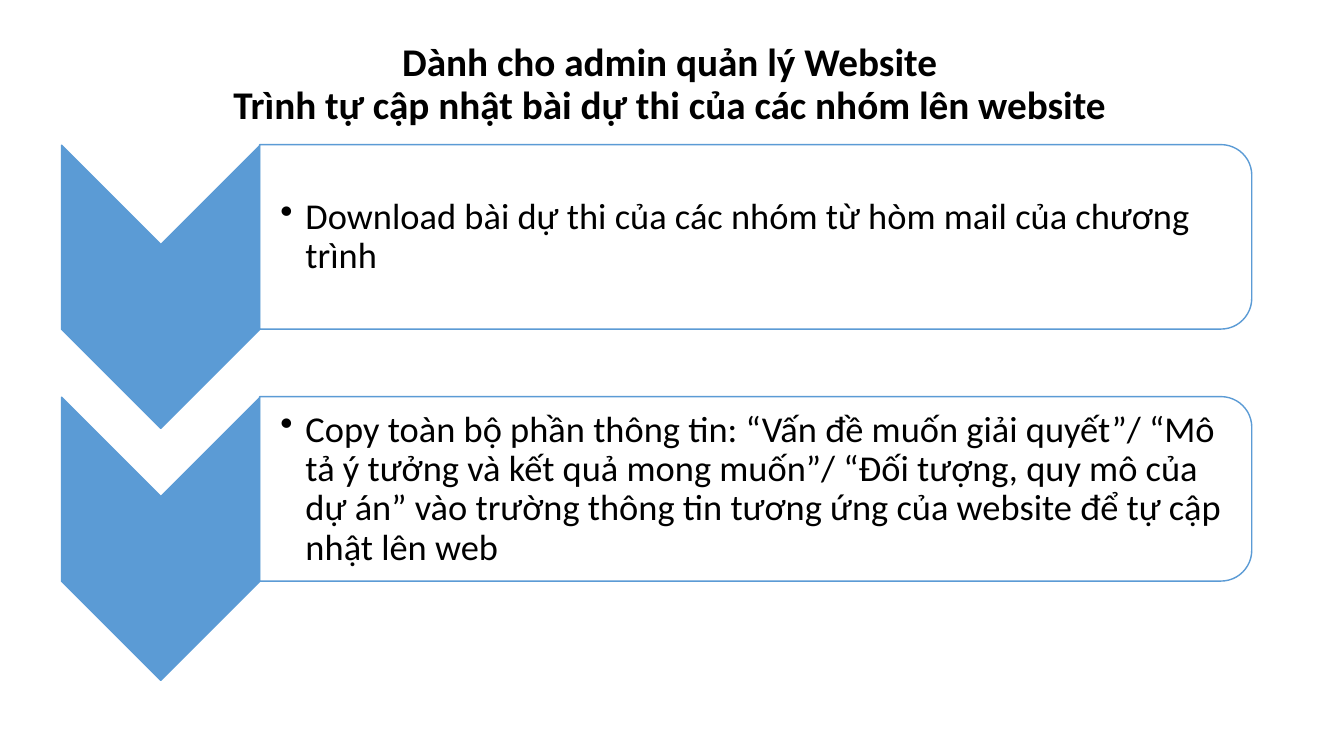
import pptx
import pptx.util
import pptx.dml.color
import pptx.enum.shapes
import pptx.enum.text
import pptx.oxml.ns
import lxml.etree

Inches = pptx.util.Inches
Pt = pptx.util.Pt
RGBColor = pptx.dml.color.RGBColor
Kind = pptx.enum.shapes.MSO_SHAPE
Align = pptx.enum.text.PP_ALIGN
Anchor = pptx.enum.text.MSO_ANCHOR
qn = pptx.oxml.ns.qn

BLUE = RGBColor(0x5B, 0x9B, 0xD5)
WHITE = RGBColor(0xFF, 0xFF, 0xFF)
BLACK = RGBColor(0, 0, 0)

TITLE = "Dành cho admin quản lý Website\vTrình tự cập nhật bài dự thi của các nhóm lên website"
STEPS = [
    "Download bài dự thi của các nhóm từ hòm mail của chương trình",
    "Copy toàn bộ phần thông tin: “Vấn đề muốn giải quyết”/ “Mô tả ý tưởng và kết quả "
    "mong muốn”/ “Đối tượng, quy mô của dự án” vào trường thông tin tương ứng của "
    "website để tự cập nhật lên web",
]
PITCH = 2.5

FONT = {"name": "Calibri", "size": Pt(28), "bold": True}
BODY = {**FONT, "size": Pt(26), "bold": False}
FRAME = {"word_wrap": True, "vertical_anchor": Anchor.MIDDLE}
INSET = {
    **FRAME,
    "margin_left": Inches(0.2),
    "margin_top": Inches(0.02),
    "margin_right": Inches(0.02),
    "margin_bottom": Inches(0.02),
}


def apply(item, values):
    for name, value in values.items():
        setattr(item, name, value)


def add_text(slide, box, text, frame, font, align):
    body = slide.shapes.add_textbox(*map(Inches, box)).text_frame
    apply(body, frame)
    para = body.paragraphs[0]
    para.text = text
    apply(para, {"alignment": align, "line_spacing": 0.9})
    for run in para.runs:
        apply(run.font, font)
        run.font.color.rgb = BLACK
    return para


def add_bullet(para):
    props = para._p.get_or_add_pPr()
    props.set("marL", str(Inches(0.25)))
    props.set("indent", str(Inches(-0.25)))
    lxml.etree.SubElement(props, qn("a:buChar")).set("char", "•")


def add_turned(slide, kind, box, fill):
    shape = slide.shapes.add_shape(kind, *map(Inches, box))
    shape.rotation = 90
    shape.shadow.inherit = False
    shape.fill.solid()
    shape.fill.fore_color.rgb = fill
    shape.line.color.rgb = BLUE
    shape.line.width = Pt(1)
    return shape


def add_step(slide, text, drop):
    add_turned(slide, Kind.CHEVRON, (0.19, 1.86 + drop, 2.81, 1.97), BLUE)
    panel = add_turned(
        slide, Kind.ROUND_2_SAME_RECTANGLE, (6.58, -2.57 + drop, 1.83, 9.84), WHITE
    )
    tint = panel.fill._xPr.find(qn("a:solidFill"))[0]
    lxml.etree.SubElement(tint, qn("a:alpha")).set("val", "90000")
    box = (2.58, 1.53 + drop, 9.75, 1.65)
    add_bullet(add_text(slide, box, text, INSET, BODY, Align.LEFT))


def main():
    deck = pptx.Presentation()
    apply(deck, {"slide_width": Inches(13.33), "slide_height": Inches(7.5)})
    slide = deck.slides.add_slide(deck.slide_layouts[6])
    add_text(slide, (0.89, 0.12, 11.5, 1.45), TITLE, FRAME, FONT, Align.CENTER)
    for index, text in enumerate(STEPS):
        add_step(slide, text, index * PITCH)
    deck.save("out.pptx")


main()
